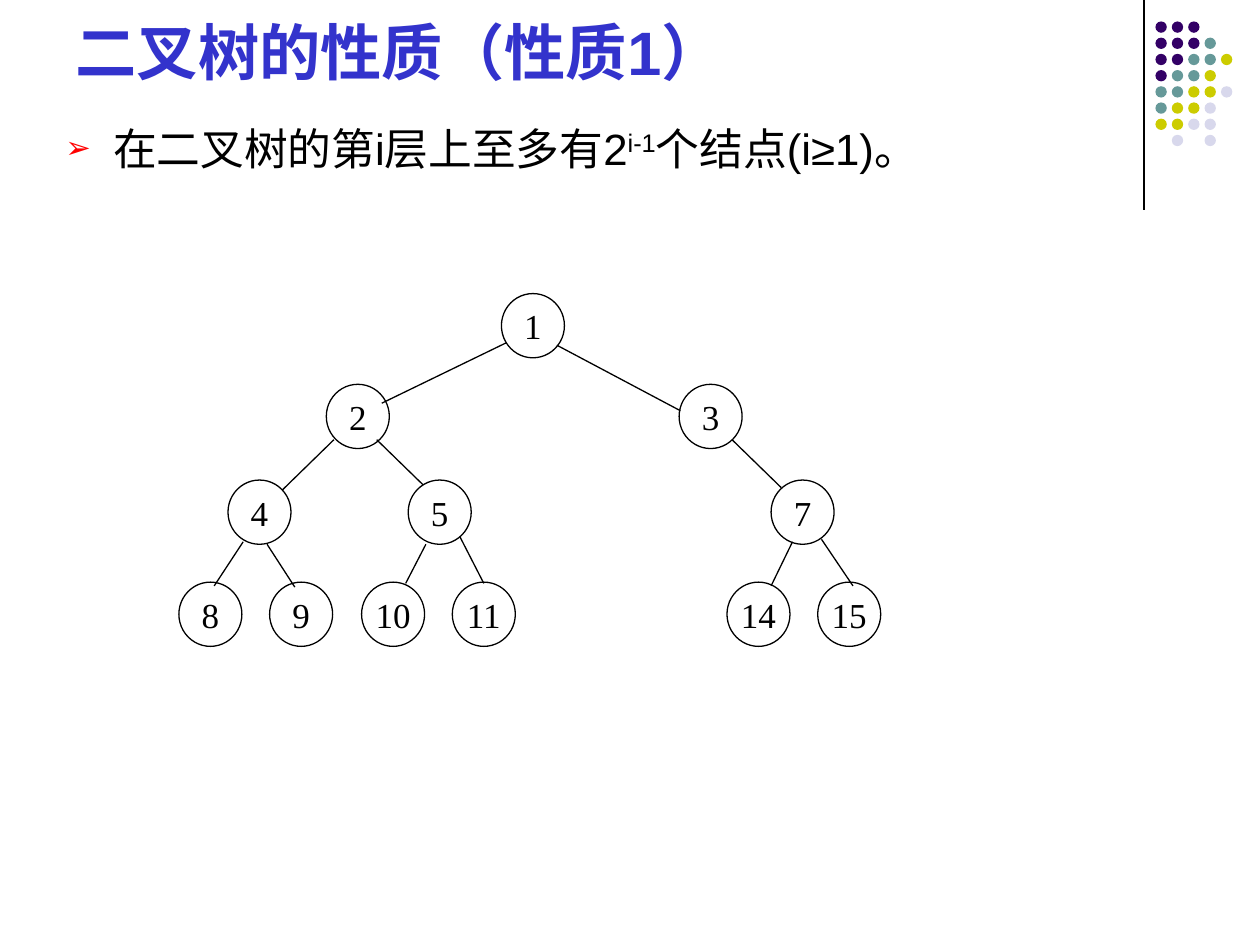
from lxml import etree
from pptx import Presentation
from pptx.dml.color import RGBColor
from pptx.enum import shapes, text
from pptx.oxml.ns import qn
from pptx.util import Inches, Pt

# Content
TITLE = "二叉树的性质（性质1）"
RULE = [("在二叉树的第i层上至多有2", 0), ("i-1", 30000), ("个结点(i≥1)。", 0)]
# Tree levels: top, then the left edge of each node
TREE = [
    (2.33, {1: 3.98}),
    (3.05, {2: 2.59, 3: 5.39}),
    (3.81, {4: 1.81, 5: 3.24, 7: 6.12}),
    (4.62, {8: 1.42, 9: 2.14, 10: 2.87, 11: 3.59, 14: 5.77, 15: 6.49}),
]
# Branches: start x, y and end x, y
EDGES = [
    (4.02, 2.72, 3.03, 3.2), (4.42, 2.74, 5.4, 3.26),
    (2.65, 3.49, 2.24, 3.89), (2.99, 3.49, 3.36, 3.85),
    (5.81, 3.49, 6.2, 3.87),
    (1.93, 4.3, 1.7, 4.65), (2.12, 4.32, 2.34, 4.66),
    (3.38, 4.32, 3.22, 4.63), (3.65, 4.26, 3.84, 4.63),
    (6.29, 4.3, 6.12, 4.65), (6.52, 4.28, 6.77, 4.65),
]
# Corner dots: purple, teal, yellow, light
DOTS = ["PPP", "PPPT", "PPTTY", "PTTY", "TTYYL", "TYYL", "YYLL", " L L"]

THEME = {
    "ink": "000000", "bullet": "FF0000",
    "P": "330066", "T": "669999", "Y": "CCCC00", "L": "D8D8EC",
    "title": {"name": "Arial", "size": Pt(35), "bold": True, "color": "3333CC"},
    "body": {"name": "Arial", "size": Pt(25), "color": "000000"},
    "node": {"name": "Times New Roman", "size": Pt(20), "color": "000000"},
}


def style(font, kind):
    for key, val in THEME[kind].items():
        if key == "color":
            font.color.rgb = RGBColor.from_string(val)
        else:
            setattr(font, key, val)


def stroke(item):
    item.line.color.rgb = RGBColor.from_string(THEME["ink"])
    item.line.width = Pt(0.75)


def line(slide, ends):
    link = slide.shapes.add_connector(
        shapes.MSO_CONNECTOR.STRAIGHT, *map(Inches, ends))
    stroke(link)
    etree.SubElement(link._element.spPr, qn("a:effectLst"))


def oval(slide, *box):
    item = slide.shapes.add_shape(shapes.MSO_SHAPE.OVAL, *map(Inches, box))
    item.shadow.inherit = False
    return item


def bullet(para):
    props = para._p.get_or_add_pPr()
    props.set("marL", str(Inches(0.38)))
    props.set("indent", str(-Inches(0.38)))
    tint = etree.SubElement(props, qn("a:buClr"))
    etree.SubElement(tint, qn("a:srgbClr"), val=THEME["bullet"])
    etree.SubElement(props, qn("a:buSzPct"), val="70000")
    etree.SubElement(props, qn("a:buFont"), typeface="Arial")
    etree.SubElement(props, qn("a:buChar"), char="➢")


def main():
    deck = Presentation()
    deck.slide_width, deck.slide_height = Inches(10), Inches(7.5)
    slide = deck.slides.add_slide(deck.slide_layouts[5])

    # Corner ornament
    line(slide, (9.08, 0, 9.08, 1.67))
    for row, marks in enumerate(DOTS):
        for col, mark in enumerate(marks):
            if mark != " ":
                dot = oval(slide, 9.17 + 0.13 * col, 0.17 + 0.9 / 7 * row, 0.09, 0.09)
                dot.fill.solid()
                dot.fill.fore_color.rgb = RGBColor.from_string(THEME[mark])
                dot.line.fill.background()

    # Title
    head = slide.shapes.title
    head.left, head.top, head.width, head.height = map(Inches, (0.5, 0.13, 8.42, 0.62))
    frame = head.text_frame
    frame.text = TITLE
    frame.auto_size = text.MSO_AUTO_SIZE.NONE
    frame.vertical_anchor = text.MSO_ANCHOR.BOTTOM
    frame.paragraphs[0].alignment = text.PP_ALIGN.LEFT
    style(frame.paragraphs[0].runs[0].font, "title")

    # Property with its exponent
    body = slide.shapes.add_textbox(*map(Inches, (0.42, 0.92, 9, 1)))
    body.text_frame.word_wrap = True
    para = body.text_frame.paragraphs[0]
    bullet(para)
    for words, rise in RULE:
        run = para.add_run()
        run.text = words
        style(run.font, "body")
        if rise:
            run.font._element.set("baseline", str(rise))

    # Tree nodes
    for top, nodes in TREE:
        for label, left in nodes.items():
            node = oval(slide, left, top, 0.5, 0.51)
            node.fill.background()
            stroke(node)
            frame = node.text_frame
            frame.word_wrap = False
            frame.vertical_anchor = text.MSO_ANCHOR.MIDDLE
            para = frame.paragraphs[0]
            para.alignment = text.PP_ALIGN.CENTER
            run = para.add_run()
            run.text = str(label)
            style(run.font, "node")

    # Branches
    for ends in EDGES:
        line(slide, ends)

    deck.save("out.pptx")


if __name__ == "__main__":
    main()
